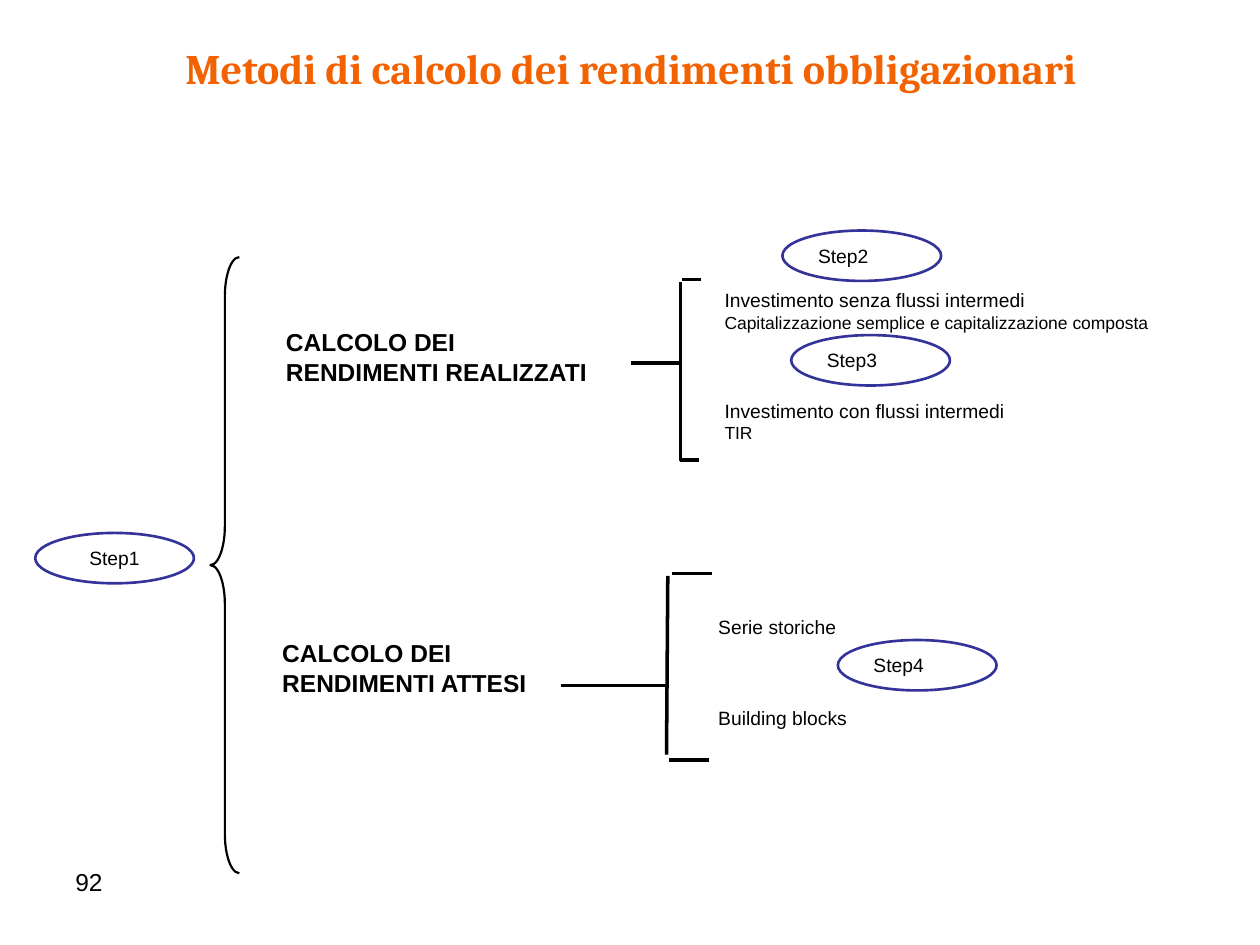
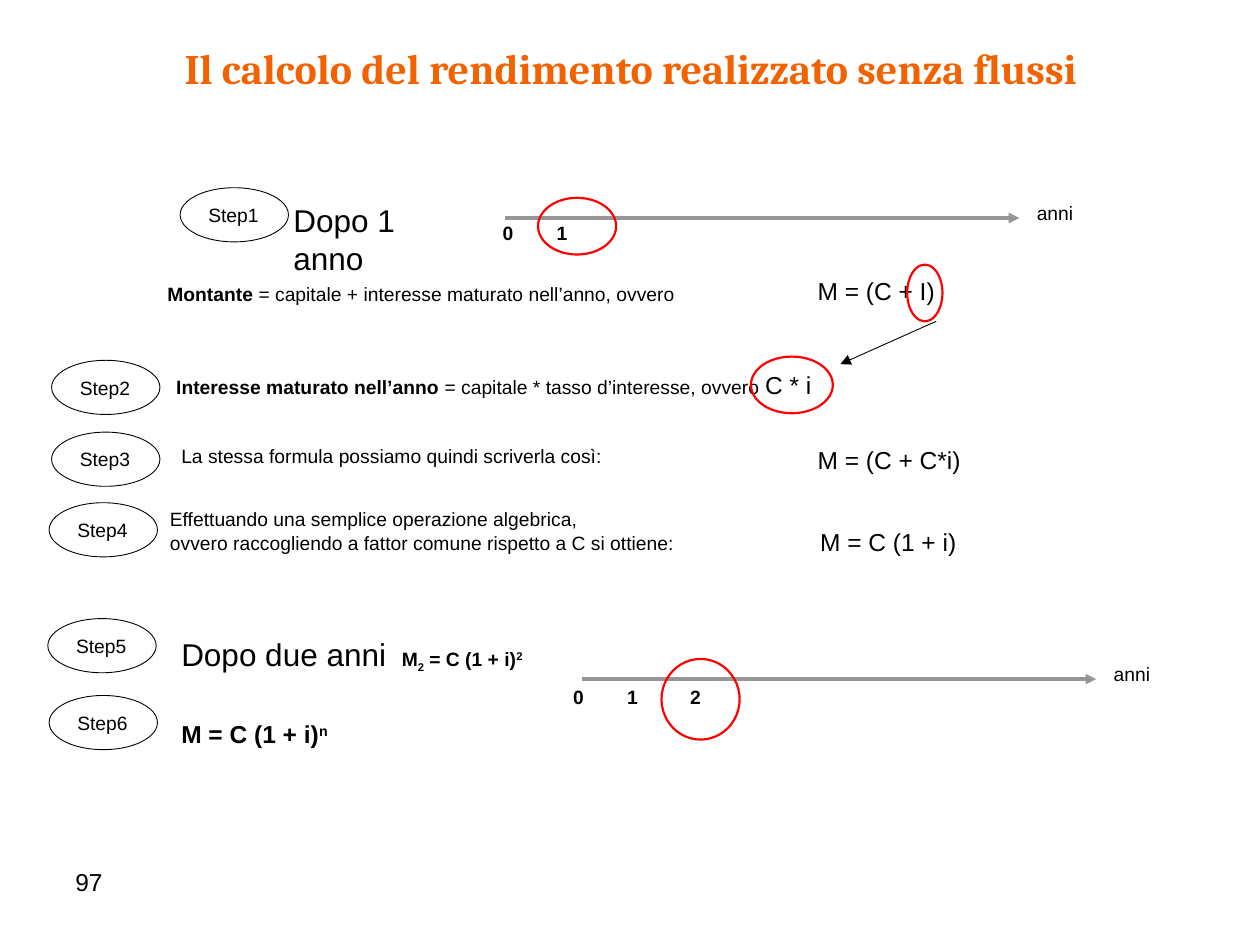
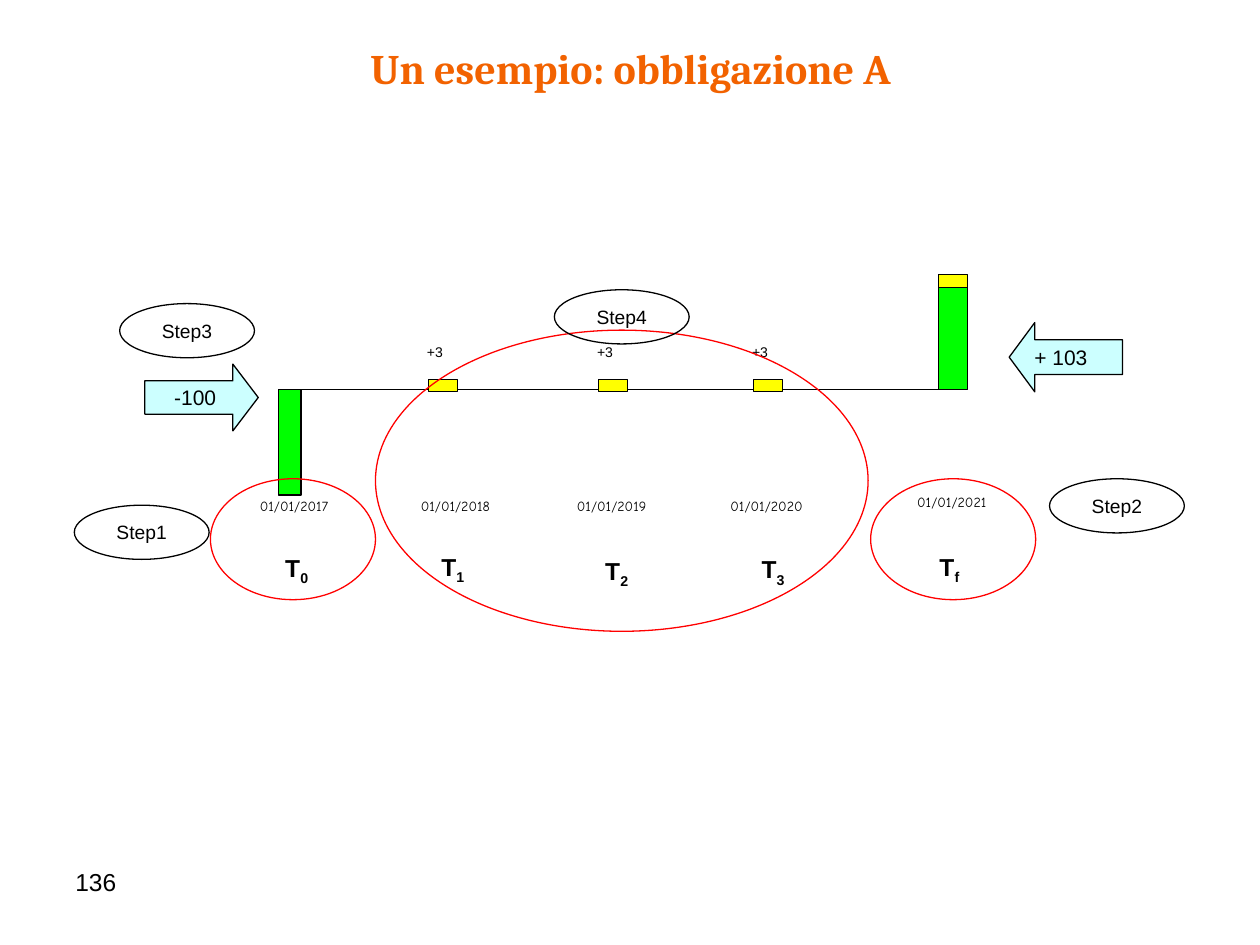
from lxml.etree import SubElement
from pptx import Presentation
from pptx.dml.color import RGBColor
from pptx.enum.shapes import MSO_CONNECTOR, MSO_SHAPE
from pptx.enum.text import MSO_ANCHOR, MSO_AUTO_SIZE, PP_ALIGN
from pptx.oxml.ns import qn
from pptx.util import Inches, Pt

WIDTH, HEIGHT = Inches(10), Inches(7.5)
COLUMN, ROW = WIDTH / 100, HEIGHT / 75
ORANGE, BLACK, GREY, RED, NAVY = "F26200", "000000", "969696", "FF0000", "333399"
GREEN, YELLOW, PALE_BLUE = "00FF00", "FFFF00", "CCFFFF"
CENTER, LEFT = PP_ALIGN.CENTER, PP_ALIGN.LEFT
TIGHT, NO_INSET, NORMAL = (0.06, 0.03), (0, 0), (0.1, 0.05)
SUB, SUPER = {"baseline": -25000}, {"baseline": 30000}
BOLD = {"bold": True}


def rgb(value):
    """Turn a hex string into a colour."""
    return RGBColor.from_string(value)


def cells(left, top, width, height):
    """Turn grid columns and rows into lengths."""
    return [round(n * unit) for n, unit in zip((left, top, width, height), (COLUMN, ROW) * 2)]


def format_run(run, look):
    """Apply a dict of format values to a run."""
    values = {"name": "Arial", "size": 11, "color": BLACK, "bold": False} | look
    baseline = values.pop("baseline", None)
    run.font.color.rgb = rgb(values.pop("color"))
    values["size"] = Pt(values["size"])
    for key, value in values.items():
        setattr(run.font, key, value)
    if baseline:
        run._r.get_or_add_rPr().set("baseline", str(baseline))


def set_tabs(paragraph, stops):
    """Add left tab stops, in columns, to a paragraph."""
    tabs = SubElement(paragraph._p.get_or_add_pPr(), qn("a:tabLst"))
    for stop in stops:
        SubElement(tabs, qn("a:tab"), pos=str(round(stop * COLUMN)), algn="l")


def write(shape, paragraphs, align=LEFT, inset=NORMAL, anchor=MSO_ANCHOR.TOP,
          wrap=True, gaps=None, tabs=(), **look):
    """Fill a shape with paragraphs made of strings and (string, look) runs."""
    frame = shape.text_frame
    settings = {"word_wrap": wrap, "auto_size": MSO_AUTO_SIZE.NONE, "vertical_anchor": anchor,
                "margin_left": Inches(inset[0]), "margin_right": Inches(inset[0]),
                "margin_top": Inches(inset[1]), "margin_bottom": Inches(inset[1])}
    for key, value in settings.items():
        setattr(frame, key, value)
    for index, runs in enumerate(paragraphs):
        paragraph = frame.paragraphs[0] if index == 0 else frame.add_paragraph()
        paragraph.alignment = align
        paragraph.space_before = Pt((gaps or {}).get(index, 0))
        if tabs:
            set_tabs(paragraph, tabs)
        for part in [runs] if isinstance(runs, str) else runs:
            words, own = (part, {}) if isinstance(part, str) else part
            run = paragraph.add_run()
            run.text = words
            format_run(run, look | own)


def add_text(slide, place, *paragraphs, **options):
    """Add a text box at a grid place."""
    write(slide.shapes.add_textbox(*cells(*place)), paragraphs, **options)


def fill_list(placeholder, place, *paragraphs, **options):
    """Move a body placeholder and write an unbulleted list in it."""
    placeholder.left, placeholder.top, placeholder.width, placeholder.height = cells(*place)
    write(placeholder, paragraphs, inset=TIGHT, **options)
    for paragraph in placeholder.text_frame.paragraphs:
        properties = paragraph._p.get_or_add_pPr()
        properties.set("marL", "0")
        properties.set("indent", "0")
        SubElement(properties, qn("a:buNone"))


def add_figure(slide, kind, place, line=BLACK, weight=0.75, fill=None, adjust=()):
    """Add an outlined preset shape."""
    figure = slide.shapes.add_shape(kind, *cells(*place))
    figure.shadow.inherit = False
    figure.line.color.rgb = rgb(line)
    figure.line.width = Pt(weight)
    if fill:
        figure.fill.solid()
        figure.fill.fore_color.rgb = rgb(fill)
    else:
        figure.fill.background()
    for index, value in enumerate(adjust):
        figure.adjustments[index] = value
    return figure


def add_step(slide, number, place, align=LEFT, **outline):
    """Add an ellipse labelled with its step number."""
    step = add_figure(slide, MSO_SHAPE.OVAL, place, **outline)
    write(step, [f"Step{number}"], align=align, anchor=MSO_ANCHOR.MIDDLE, wrap=False)


def add_line(slide, start, end, color=BLACK, weight=2, arrow=False):
    """Draw a straight line, with an arrowhead at its end if wanted."""
    ends = cells(*start, *end)
    line = slide.shapes.add_connector(MSO_CONNECTOR.STRAIGHT, *ends)
    line.line.color.rgb = rgb(color)
    line.line.width = Pt(weight)
    properties = line._element.spPr
    if arrow:
        SubElement(properties.find(qn("a:ln")), qn("a:tailEnd"), type="triangle")
    SubElement(properties, qn("a:effectLst"))


def add_timeline(slide, left, top, ticks, ticks_place, tabs, circle):
    """Draw a year axis with its ticks, red circle and unit."""
    add_line(slide, (left, top), (left + 40.8, top), color=GREY, arrow=True)
    add_text(slide, ticks_place, "\t".join(ticks), tabs=tabs, **BOLD)
    add_figure(slide, MSO_SHAPE.OVAL, circle, line=RED, weight=1.25)
    add_text(slide, (left + 41.2, top - 1.8, 6.2, 3.6), "anni")


def add_slide(deck, layout, title, page):
    """Start a slide with its title and page number."""
    slide = deck.slides.add_slide(deck.slide_layouts[layout])
    heading = slide.shapes.title
    heading.left, heading.top, heading.width, heading.height = cells(4.8, 2.9, 90.5, 5.1)
    write(heading, [title], align=CENTER, name="Cambria", size=24, color=ORANGE, bold=True)
    add_text(slide, (5, 68.3, 23.3, 5.2), str(page), size=14)
    return slide


def build_methods(deck):
    """Build the tree of return methods."""
    slide = add_slide(deck, 3, "Metodi di calcolo dei rendimenti obbligazionari", 92)
    realised, expected = slide.placeholders[1], slide.placeholders[2]
    small = {"size": 10}
    fill_list(realised, (56.9, 22.6, 35.9, 13.5),
              "Investimento senza flussi intermedi",
              [("Capitalizzazione semplice e capitalizzazione composta", small)],
              "Investimento con flussi intermedi", [("TIR", small)], gaps={2: 38})
    fill_list(expected, (56.4, 48.5, 42.4, 10), "Serie storiche", "Building blocks", gaps={1: 39})
    for place, heading in (((22.1, 23.8, 27, 9), "CALCOLO DEI RENDIMENTI REALIZZATI"),
                           ((21.8, 48.5, 24.8, 9), "CALCOLO DEI RENDIMENTI ATTESI")):
        add_text(slide, place, heading, inset=TIGHT, anchor=MSO_ANCHOR.MIDDLE, size=14, **BOLD)
    brackets = [((54, 22.4), (54, 36.6)), ((54.1, 22.2), (55.6, 22.2)),
                ((50.1, 28.8), (54, 28.8)), ((54, 36.5), (55.5, 36.5)),
                ((53, 45.7), (52.9, 59.9)), ((53.3, 45.5), (56.5, 45.5)),
                ((44.5, 54.4), (53, 54.4)), ((53.1, 60.3), (56.3, 60.3))]
    for start, end in brackets:
        add_line(slide, start, end)
    add_figure(slide, MSO_SHAPE.LEFT_BRACE, (16.7, 20.4, 2.3, 48.9), weight=1.25,
               adjust=(1.35, 0.5))
    steps = [(2.8, 42.3, CENTER), (62.1, 18.3, LEFT), (62.8, 26.6, LEFT), (66.5, 50.8, LEFT)]
    for number, (left, top, align) in enumerate(steps, 1):
        add_step(slide, number, (left, top, 12.6, 4), align, line=NAVY, weight=1.5)


def build_no_flows(deck):
    """Build the derivation of the compound formula."""
    slide = add_slide(deck, 5, "Il calcolo del rendimento realizzato senza flussi", 97)
    add_timeline(slide, 40.1, 17.3, "01", (38.9, 17.1, 9, 3.6), (4.3,), (42.7, 15.7, 6.2, 4.5))
    add_timeline(slide, 46.2, 53.9, "012", (44.5, 53.9, 15.3, 3.6), (4.3, 9.3),
                 (52.5, 52.3, 6.2, 6.4))
    steps = [(14.3, 14.9), (4.1, 28.6), (4.1, 34.3), (3.9, 39.9), (3.8, 49.1), (3.9, 55.2)]
    for number, (left, top) in enumerate(steps, 1):
        add_step(slide, number, (left, top, 8.6, 4.3), weight=0.5)
    add_line(slide, (74.3, 25.5), (66.7, 28.9), weight=0.5, arrow=True)
    add_text(slide, (22.3, 15.5, 14.6, 7), "Dopo 1 anno", size=18)
    add_text(slide, (12.3, 21.9, 54, 3.6),
             [("Montante", BOLD), " = capitale + interesse maturato nell’anno, ovvero"])
    add_text(slide, (13, 28.9, 66.8, 4.2),
             [("Interesse maturato nell’anno", BOLD),
              " = capitale * tasso d’interesse, ovvero ", ("C * i", {"size": 14})])
    add_text(slide, (13.4, 34.8, 45.9, 3.6), "La stessa formula possiamo quindi scriverla così:")
    add_text(slide, (12.5, 39.8, 54.2, 5.9), "Effettuando una semplice operazione algebrica,",
             "ovvero raccogliendo a fattor comune rispetto a C si ottiene:")
    for left, top, formula in ((63.9, 21.4, "M = (C + I)"), (63.9, 34.8, "M = (C + C*i)"),
                               (64.1, 41.3, "M = C (1 + i)")):
        add_text(slide, (left, top, 16.9, 4.2), formula, size=14)
    for circle in ((72, 21, 2.8, 4.5), (59.6, 28.3, 6.5, 4.5)):
        add_figure(slide, MSO_SHAPE.OVAL, circle, line=RED, weight=1.25)
    large = BOLD | {"size": 14}
    add_text(slide, (13.4, 49.9, 51.9, 8.9),
             [("Dopo due anni", {"size": 18}), ("\tM", BOLD), ("2", BOLD | SUB),
              (" = C (1 + i)", BOLD), ("2", BOLD | SUPER)],
             [("M = C (1 + i)", large), ("n", large | SUPER)], gaps={1: 26}, tabs=(17.5,))


def build_bond(deck):
    """Build the cash flow line of the bond."""
    slide = add_slide(deck, 5, "Un esempio: obbligazione A", 136)
    add_line(slide, (22.1, 30.9), (76.1, 30.9), weight=0.75)
    for place in ((22.1, 30.9, 1.8, 8.4), (74.5, 22.5, 2.3, 8.4)):
        add_figure(slide, MSO_SHAPE.RECTANGLE, place, fill=GREEN)
    for left, top in ((34, 30.1), (47.5, 30.1), (59.8, 30.1), (74.5, 21.8)):
        add_figure(slide, MSO_SHAPE.RECTANGLE, (left, top, 2.3, 1), fill=YELLOW)
    for left in (32.9, 46.4, 58.7):
        add_text(slide, (left, 26.8, 5.1, 2.9), "+3", size=8)
    flows = [(MSO_SHAPE.RIGHT_ARROW, (11.5, 28.9, 9, 5.3), 0.38, "-100", CENTER),
             (MSO_SHAPE.LEFT_ARROW, (80.1, 25.6, 9, 5.5), 0.37, "+ 103", LEFT)]
    for kind, place, head, amount, align in flows:
        arrow = add_figure(slide, kind, place, fill=PALE_BLUE, adjust=(0.5, head))
        write(arrow, [amount], align=align, anchor=MSO_ANCHOR.MIDDLE, wrap=False, size=12)
    moments = [("0", 19, 39.5, 22.2, 43.9), ("1", 31.8, 39.5, 34.6, 43.8),
               ("2", 44.2, 39.5, 47.6, 44.1), ("3", 56.5, 39.5, 60, 44),
               ("f", 71.2, 39.2, 74, 43.8)]
    for year, (mark, date_left, date_top, left, top) in enumerate(moments, 2017):
        add_text(slide, (date_left, date_top, 8.7, 1.7), f"01/01/{year}", align=CENTER,
                 inset=NO_INSET, name="Comic Neue", size=8)
        add_text(slide, (left, top, 2.7, 3), ["T", (mark, SUB)], align=CENTER,
                 inset=NO_INSET, size=14, **BOLD)
    for circle in ((16.7, 38, 13.1, 9.6), (69.1, 38, 13.1, 9.6), (29.8, 26.2, 39.1, 23.9)):
        add_figure(slide, MSO_SHAPE.OVAL, circle, line=RED)
    steps = [(5.9, 40.1), (83.3, 38), (9.5, 24.1), (44, 23)]
    for number, (left, top) in enumerate(steps, 1):
        add_step(slide, number, (left, top, 10.7, 4.3), CENTER)


def main():
    """Build and save the deck."""
    deck = Presentation()
    deck.slide_width, deck.slide_height = WIDTH, HEIGHT
    for build in (build_methods, build_no_flows, build_bond):
        build(deck)
    deck.save("out.pptx")


if __name__ == "__main__":
    main()
